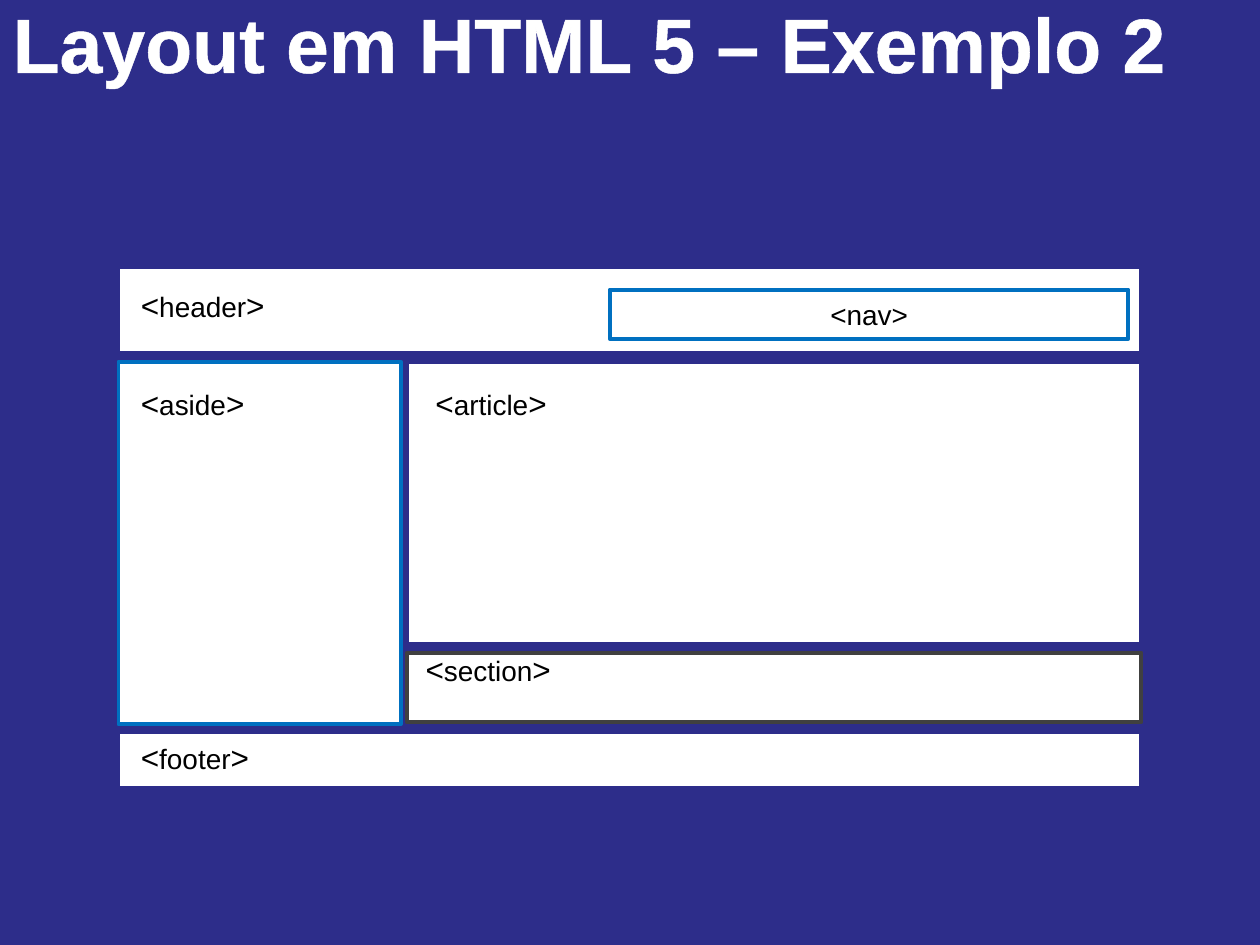
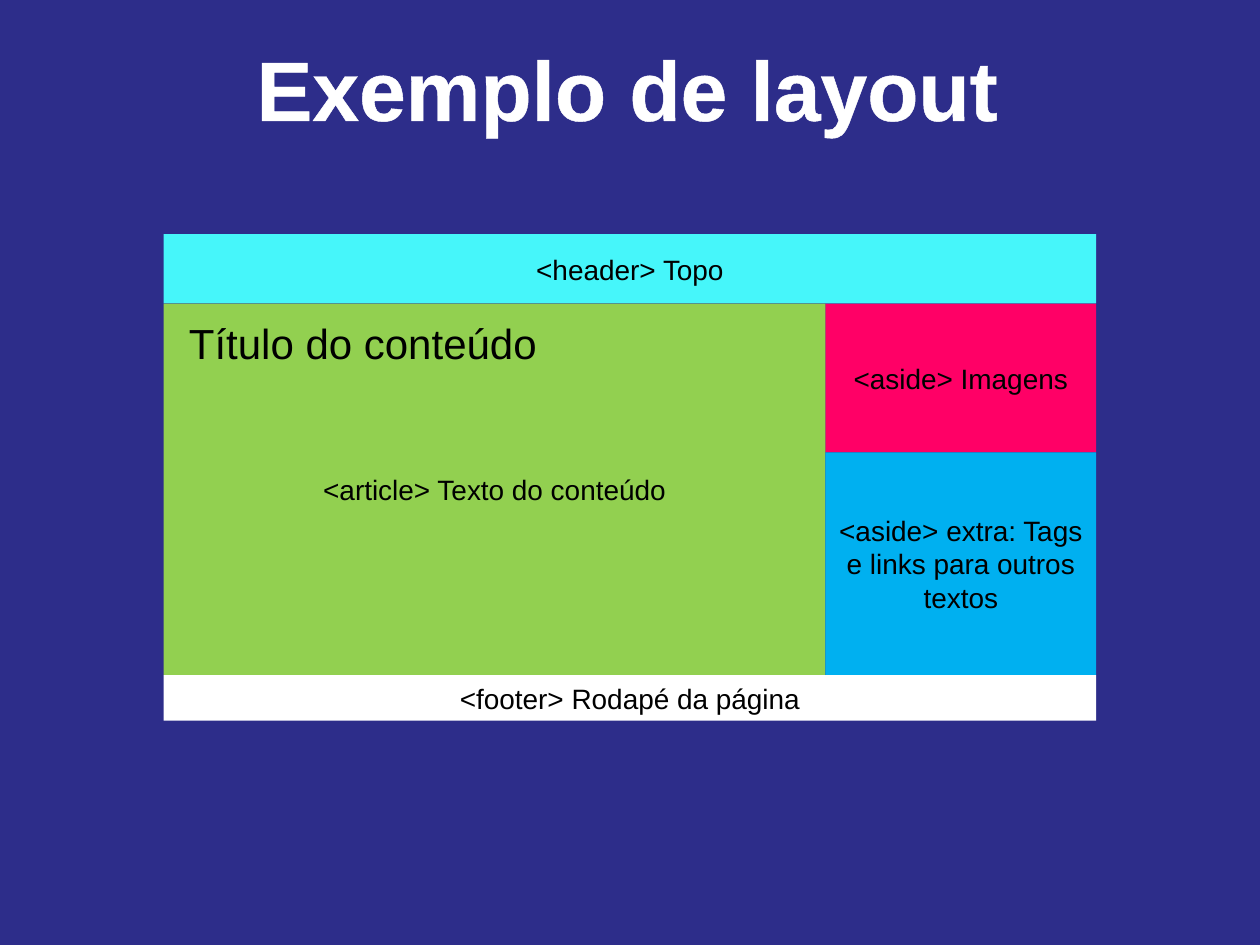
from dataclasses import dataclass
from lxml.etree import SubElement
from pptx import Presentation
from pptx.dml.color import RGBColor
from pptx.enum.shapes import MSO_SHAPE as Shape
from pptx.enum.text import MSO_ANCHOR as Anchor, MSO_AUTO_SIZE as AutoSize, PP_ALIGN as Align
from pptx.oxml.ns import qn
from pptx.util import Cm, Pt


@dataclass(frozen=True)
class Theme:
    font: str = "Arial"
    background: str = "2D2D8A"
    white: str = "FFFFFF"
    black: str = "000000"
    title_outline: str = "FEFEFE"
    blue: str = "0070C0"
    grey: str = "404040"
    cyan: str = "46F6FA"
    green: str = "92D050"
    pink: str = "FF0066"
    sky: str = "00B0F0"
    body_size: int = 16
    bracket_size: int = 18
    heading_size: int = 24
    border: float = 2.25
    title_border: float = 1.5


theme = Theme()

# Content: boxes are (left, top, right, bottom) in cm, taken from the page edges;
# labels are (left, top, width, height) with (text, size) runs


def tag(name):
    return [("<", theme.bracket_size), (name, theme.body_size), (">", theme.bracket_size)]


LEFT, ASIDE_END, MAIN, RIGHT = 2.39, 8.08, 8.2, 23.01
TOP, BODY, BODY_END, FOOT = 5.38, 7.29, 14.6, 14.76
LABEL, LABEL_TOP = LEFT + 0.2, BODY + 0.33

wireframe = {
    "title": "Layout em HTML 5 – Exemplo 2",
    "title_at": (0, 0, 25.4, 1.7),
    "title_size": 44,
    "title_align": Align.LEFT,
    "boxes": [  # corners, fill, border, text
        ((LEFT, TOP, RIGHT, 7.11), theme.white, theme.background, ""),
        ((LEFT, BODY, ASIDE_END, BODY_END), theme.white, theme.blue, ""),
        ((MAIN, 13.16, RIGHT, 14.56), theme.white, theme.grey, ""),
        ((MAIN, BODY, RIGHT, 12.98), theme.white, theme.background, ""),
        ((LEFT, FOOT, RIGHT, 15.88), theme.white, theme.background, ""),
        ((12.29, 5.84, 22.75, 6.83), theme.white, theme.blue, "<nav>"),
    ],
    "labels": [
        ((LABEL, 5.64, 3.73, 1.3), tag("header")),
        ((LABEL, FOOT, 3.15, 1.07), tag("footer")),
        ((LABEL, LABEL_TOP, 3.15, 1.02), tag("aside")),
        ((MAIN + 0.33, LABEL_TOP, 3.15, 1.02), tag("article")),
        ((MAIN + 0.13, 12.98, 3.96, 1.3), tag("section")),
    ],
}

X0, X1, X2 = 3.3, 16.64, 22.1
Y0, Y1, Y2, Y3, Y4 = 4.72, 6.12, 9.12, 13.61, 14.53

page = {
    "title": "Exemplo de layout",
    "title_at": (-0.1, 0.91, 25.5, 1.7),
    "title_size": 48,
    "title_align": Align.CENTER,
    "boxes": [
        ((X1, Y1, X2, Y2), theme.pink, None, "<aside> Imagens"),
        ((X0, Y0, X2, Y1), theme.cyan, None, "<header> Topo"),
        ((X0, Y1, X1, Y3), theme.green, None, "<article> Texto do conteúdo"),
        ((X1, Y2, X2, Y3), theme.sky, None, "<aside> extra: Tags e links para outros textos"),
        ((X0, Y3, X2, Y4), theme.white, None, "<footer> Rodapé da página"),
    ],
    "labels": [
        ((3.56, 6.27, 9.12, 0.71), [("Título do conteúdo", theme.heading_size)]),
    ],
}


# Shared drawing helpers
def apply(target, values):
    for name, value in values.items():
        setattr(target, name, value)


def write(shape, runs, align, color, bold=False, **frame_format):
    frame = shape.text_frame
    apply(frame, {"word_wrap": True, **frame_format})
    paragraph = frame.paragraphs[0]
    paragraph.alignment = align
    for text, size in runs:
        run = paragraph.add_run()
        run.text = text
        apply(run.font, {"name": theme.font, "size": Pt(size), "bold": bold})
        run.font.color.rgb = RGBColor.from_string(color)
    return paragraph


def add_title(slide, content):
    title = slide.shapes.title
    apply(title, dict(zip(("left", "top", "width", "height"), map(Cm, content["title_at"]))))
    paragraph = write(title, [(content["title"], content["title_size"])],
                      content["title_align"], theme.white, bold=True,
                      vertical_anchor=Anchor.MIDDLE, auto_size=AutoSize.NONE)
    # Text outline
    properties = paragraph.runs[0].font._element
    line = SubElement(properties, qn("a:ln"), w=str(Pt(theme.title_border)))
    fill = SubElement(line, qn("a:solidFill"))
    SubElement(fill, qn("a:srgbClr"), val=theme.title_outline)
    properties.insert(0, line)


def add_box(shapes, corners, fill, border, text):
    left, top, right, bottom = corners
    box = shapes.add_shape(Shape.RECTANGLE, Cm(left), Cm(top), Cm(right - left), Cm(bottom - top))
    box.shadow.inherit = False
    box.fill.solid()
    box.fill.fore_color.rgb = RGBColor.from_string(fill)
    if border:
        box.line.color.rgb = RGBColor.from_string(border)
        box.line.width = Pt(theme.border)
    else:
        box.line.fill.background()
    if text:
        write(box, [(text, theme.body_size)], Align.CENTER, theme.black,
              vertical_anchor=Anchor.MIDDLE)


def add_label(shapes, place, runs):
    label = shapes.add_textbox(*map(Cm, place))
    write(label, runs, Align.LEFT, theme.black, auto_size=AutoSize.SHAPE_TO_FIT_TEXT)


# Build the presentation
presentation = Presentation()
apply(presentation, {"slide_width": Cm(25.4), "slide_height": Cm(19.05)})
background = presentation.slide_master.background.fill
background.solid()
background.fore_color.rgb = RGBColor.from_string(theme.background)
title_only = presentation.slide_layouts.get_by_name("Title Only")

for content in (wireframe, page):
    slide = presentation.slides.add_slide(title_only)
    add_title(slide, content)
    diagram = slide.shapes.add_group_shape().shapes
    for box in content["boxes"]:
        add_box(diagram, *box)
    for label in content["labels"]:
        add_label(diagram, *label)

presentation.save("out.pptx")
